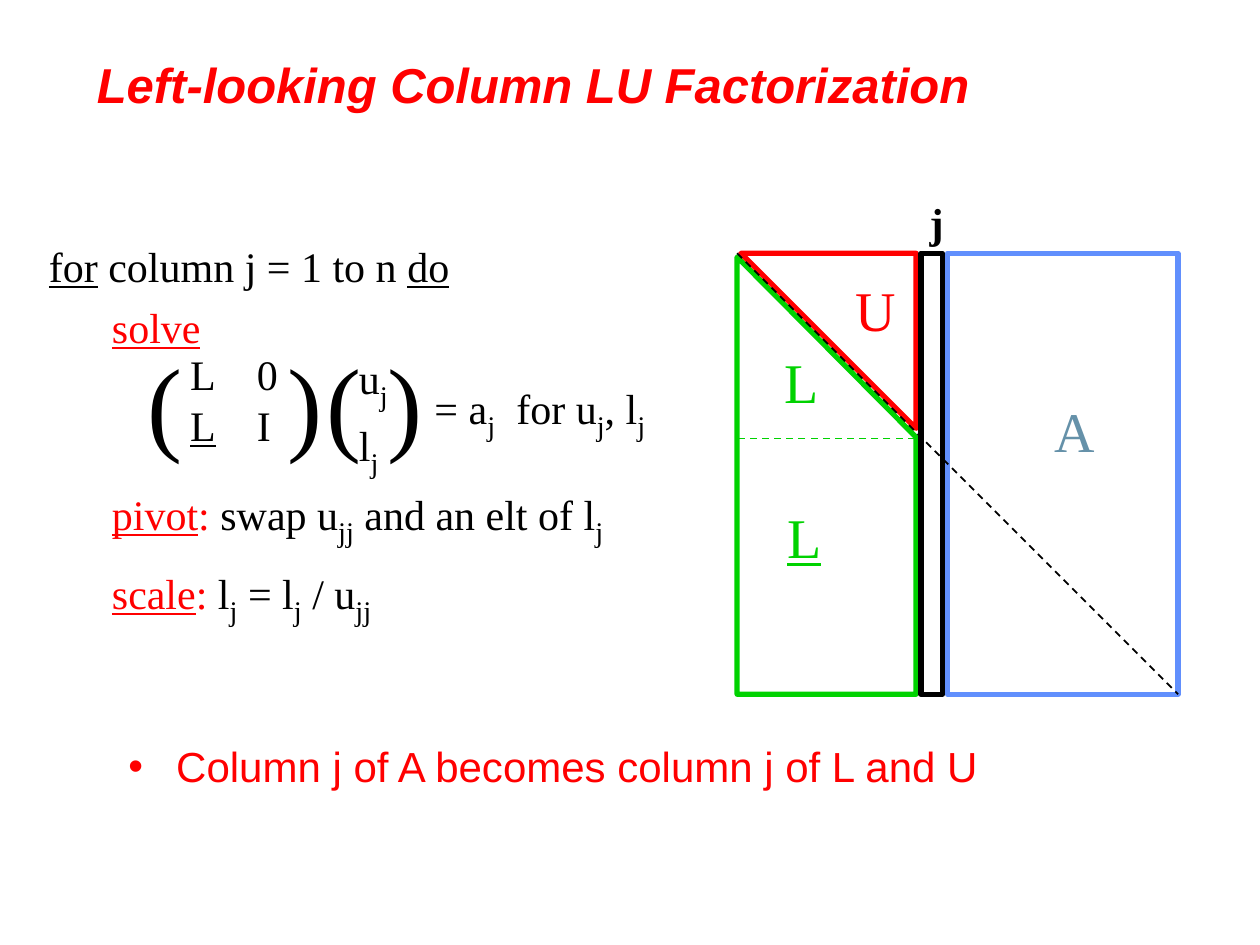
"""Build the slide on left-looking column LU factorization."""
from lxml.etree import SubElement
from pptx import Presentation
from pptx.dml.color import RGBColor
from pptx.enum.dml import MSO_LINE
from pptx.enum.shapes import MSO_CONNECTOR, MSO_SHAPE
from pptx.enum.text import MSO_ANCHOR
from pptx.oxml.ns import qn
from pptx.util import Inches, Pt

RED = RGBColor(0xFF, 0x00, 0x00)
GREEN = RGBColor(0x00, 0xD2, 0x00)
BLUE = RGBColor(0x61, 0x8F, 0xFD)
SLATE = RGBColor(0x65, 0x91, 0xA9)
BLACK = RGBColor(0x00, 0x00, 0x00)
SERIF, SANS = "Times New Roman", "Arial"

PLAIN = {}
UNDER = {"underline": True}
RED_TEXT = {"color": RED}
RED_UNDER = {"color": RED, "underline": True}
SUB = {"size": 28, "baseline": -25000}

TITLE = ((0.67, 0.33, 8.19, 0.67), [("Left-looking Column LU Factorization", {
    "size": 28, "name": SANS, "color": RED, "bold": True, "italic": True})])

ALGORITHM_BOX = (0.29, 1.86, 5, 3.75)
ALGORITHM = [
    (0, 6, [("for", UNDER), (" column j = 1 to n ", PLAIN), ("do", UNDER)]),
    (0.5, 6, [("solve", RED_UNDER)]),
    (0.5, 74, [("pivot", RED_UNDER), (": ", RED_TEXT), ("swap u", PLAIN), ("jj", SUB),
               (" and an elt of l", PLAIN), ("j", SUB)]),
    (0.5, 7, [("scale", RED_UNDER), (":", RED_TEXT), (" l", PLAIN), ("j", SUB),
              (" = l", PLAIN), ("j", SUB), (" / u", PLAIN), ("jj", SUB)]),
]

SUMMARY = ((0.92, 5.83, 7.42, 0.75), [
    ("Column j of A becomes column j of L and U", {"name": SANS, "color": RED})])

EQUATION = [
    ((1.41, 2.72, 0.95, 0.9), 0.53,
     [("L\t0", PLAIN), ("\n", PLAIN), ("L", UNDER), ("\tI", PLAIN)]),
    ((1.07, 2.63, 1.59, 1.1), 1.11, [("(\t)", {"size": 60})]),
    ((2.75, 2.69, 0.44, 1.16), None,
     [("u", PLAIN), ("j", SUB), ("\n", SUB), ("l", PLAIN), ("j", SUB)]),
    ((2.49, 2.63, 0.96, 1.1), None, [("( )", {"size": 60})]),
    ((3.35, 2.93, 1.87, 0.63), 0.65,
     [("= a", PLAIN), ("j", SUB), ("\tfor u", PLAIN), ("j", SUB),
      (", l", PLAIN), ("j", SUB)]),
]

TOP, BOTTOM, LEFT, RIGHT = 2.01, 5.51, 5.85, 9.35
REMAINING = ((7.52, TOP, RIGHT - 7.52, BOTTOM - TOP), BLUE)
CURRENT = ((7.31, TOP, 0.17, BOTTOM - TOP), BLACK)
LOWER = ([(LEFT, 2.04), (LEFT, BOTTOM), (7.27, BOTTOM), (7.27, 3.47)], GREEN)
UPPER = ([(5.88, TOP), (7.27, TOP), (7.27, 3.4)], RED)
DASHES = [((LEFT, TOP, RIGHT, BOTTOM), BLACK), ((7.26, 3.48, LEFT, 3.48), GREEN)]
LABELS = [
    ((6.15, 3.94, 0.47, 0.64), "L", {"size": 32, "color": GREEN, "underline": True}),
    ((6.13, 2.71, 0.47, 0.64), "L", {"size": 32, "color": GREEN}),
    ((6.69, 2.14, 0.52, 0.64), "U", {"size": 32, "color": RED}),
    ((8.27, 3.1, 0.52, 0.64), "A", {"size": 32, "color": SLATE}),
    ((7.28, 1.51, 0.31, 0.5), "j", {"bold": True}),
]


def add_runs(paragraph, runs):
    for text, changes in runs:
        if text == "\n":
            paragraph.add_line_break()
            continue
        run = paragraph.add_run()
        run.text = text
        style = {"name": SERIF, "size": 24, "color": BLACK, **changes}
        run.font.color.rgb = style.pop("color")
        style["size"] = Pt(style["size"])
        baseline = style.pop("baseline", None)
        for attribute, value in style.items():
            setattr(run.font, attribute, value)
        if baseline:
            run.font._element.set("baseline", str(baseline))


def add_text(slide, box, runs=(), tab=None):
    frame = slide.shapes.add_textbox(*map(Inches, box)).text_frame
    frame.word_wrap = True
    frame.margin_right = 0
    paragraph = frame.paragraphs[0]
    add_runs(paragraph, runs)
    if tab:
        stops = SubElement(paragraph._p.get_or_add_pPr(), qn("a:tabLst"))
        SubElement(stops, qn("a:tab"), pos=str(Inches(tab)), algn="l")
    return frame


def set_outline(shape, color):
    shape.shadow.inherit = False
    shape.fill.background()
    shape.line.color.rgb = color
    shape.line.width = Pt(3)


def add_block(slide, box, color):
    set_outline(slide.shapes.add_shape(MSO_SHAPE.RECTANGLE, *map(Inches, box)), color)


def add_outline(slide, points, color):
    corners = [(Inches(x), Inches(y)) for x, y in points]
    builder = slide.shapes.build_freeform(*corners[0])
    builder.add_line_segments(corners[1:], close=True)
    set_outline(builder.convert_to_shape(), color)


def add_dash(slide, ends, color):
    dash = slide.shapes.add_connector(MSO_CONNECTOR.STRAIGHT, *map(Inches, ends))
    dash.line.color.rgb = color
    dash.line.width = Pt(1)
    dash.line.dash_style = MSO_LINE.DASH
    SubElement(dash._element.spPr, qn("a:effectLst"))


def add_algorithm(slide):
    frame = add_text(slide, ALGORITHM_BOX)
    for index, (indent, space, runs) in enumerate(ALGORITHM):
        paragraph = frame.add_paragraph() if index else frame.paragraphs[0]
        paragraph.space_before = Pt(space)
        paragraph._p.get_or_add_pPr().set("marL", str(Inches(indent)))
        add_runs(paragraph, runs)


def add_summary(slide):
    paragraph = add_text(slide, *SUMMARY).paragraphs[0]
    paragraph.space_before = Pt(6)
    properties = paragraph._p.get_or_add_pPr()
    properties.set("marL", str(Inches(0.38)))
    properties.set("indent", str(Inches(-0.38)))
    bullet_color = SubElement(properties, qn("a:buClr"))
    SubElement(bullet_color, qn("a:srgbClr"), val=str(RED))
    SubElement(properties, qn("a:buFont"), typeface=SANS)
    SubElement(properties, qn("a:buChar"), char="•")


def main():
    deck = Presentation()
    deck.slide_width, deck.slide_height = Inches(10), Inches(7.5)
    slide = deck.slides.add_slide(deck.slide_layouts[6])
    add_text(slide, *TITLE).vertical_anchor = MSO_ANCHOR.MIDDLE
    add_algorithm(slide)
    add_summary(slide)
    for box, tab, runs in EQUATION:
        add_text(slide, box, runs, tab)
    add_block(slide, *REMAINING)
    for points, color in (LOWER, UPPER):
        add_outline(slide, points, color)
    add_block(slide, *CURRENT)
    for ends, color in DASHES:
        add_dash(slide, ends, color)
    for box, letter, style in LABELS:
        add_text(slide, box, [(letter, style)])
    deck.save("out.pptx")


if __name__ == "__main__":
    main()
